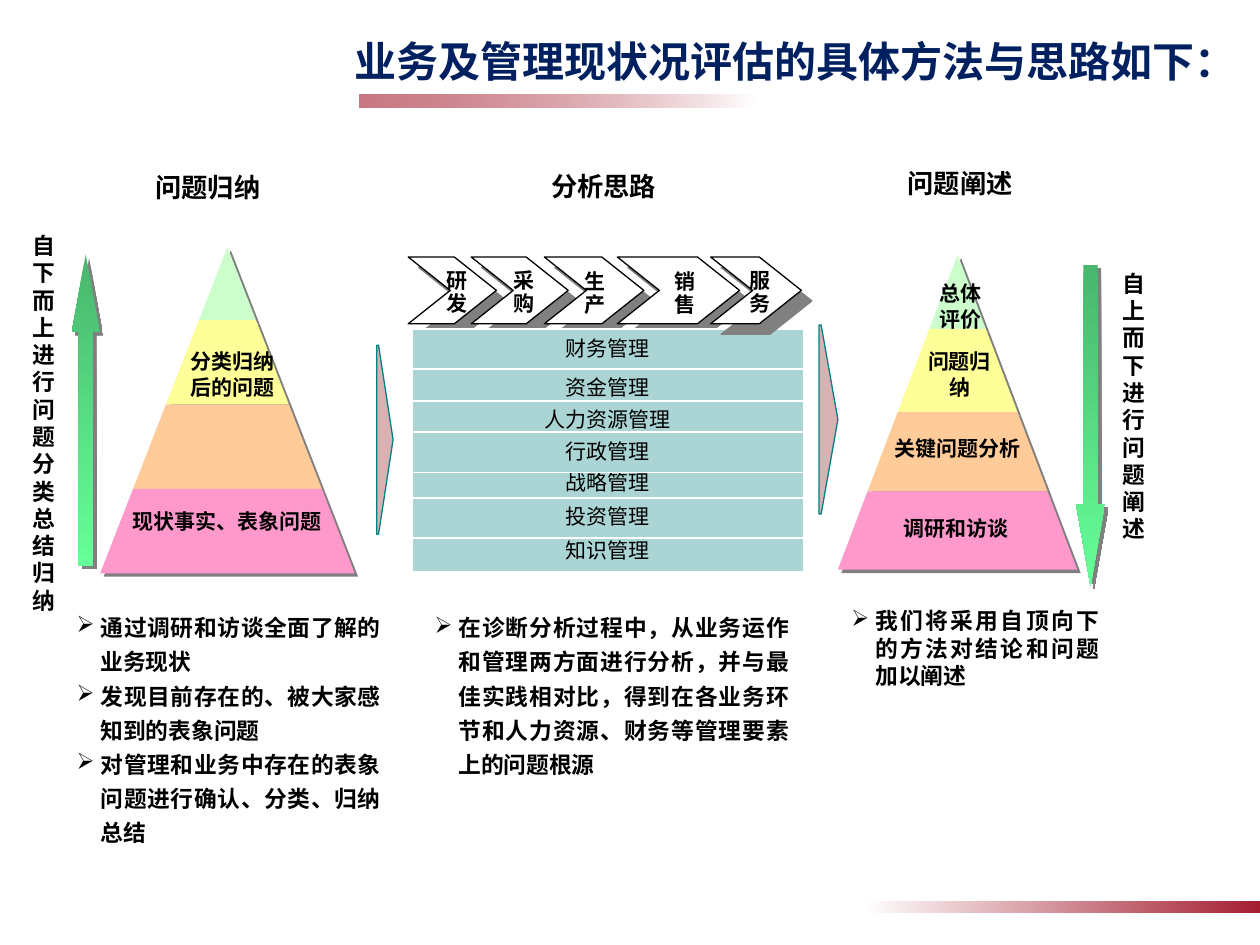
from lxml import etree
from pptx import Presentation
from pptx.dml.color import RGBColor
from pptx.enum.shapes import MSO_SHAPE
from pptx.enum.text import MSO_ANCHOR, PP_ALIGN
from pptx.oxml.ns import qn
from pptx.util import Inches, Pt

RECTANGLE, CHEVRON, PENTAGON = MSO_SHAPE.RECTANGLE, MSO_SHAPE.CHEVRON, MSO_SHAPE.PENTAGON
UP_ARROW, DOWN_ARROW = MSO_SHAPE.UP_ARROW, MSO_SHAPE.DOWN_ARROW
CENTER, RIGHT, JUSTIFY = PP_ALIGN.CENTER, PP_ALIGN.RIGHT, PP_ALIGN.JUSTIFY
TOP, MIDDLE = MSO_ANCHOR.TOP, MSO_ANCHOR.MIDDLE

FONT = "Noto Sans CJK SC"
COLUMNS, ROWS = 100, 75
LINE_HEIGHT = 1.2
NORMAL_INSETS, TIGHT_INSETS, SIDE_INSETS = (0.1, 0.05), (0.02, 0.01), (0.07, 0.04)
CHEVRON_INSETS = (0.02, 0.05)
RED, GREENS = "A41E31", ("49B66D", "66FF99")
BAND_COLORS = ("CCFFCC", "FFFF99", "FFCC99", "FF99CC")


def rgb(color):
    return RGBColor.from_string(color)


def set_alpha(fill_element, percent):
    """Make the last colour inside a fill element partly transparent."""
    color = list(fill_element.iter(qn("a:srgbClr")))[-1]
    etree.SubElement(color, qn("a:alpha"), val=str(percent * 1000))


class Canvas:
    """Draws on one slide; places are columns and rows of a 100 by 75 grid."""

    def __init__(self, presentation):
        self.slide = presentation.slides.add_slide(presentation.slide_layouts[6])
        self.column = presentation.slide_width / COLUMNS
        self.row = presentation.slide_height / ROWS

    def place(self, left, top, width, height):
        return (round(left * self.column), round(top * self.row),
                round(width * self.column), round(height * self.row))

    def finish(self, shape, fill, line=None, shadow=0):
        """Set solid fill, optional (colour, width) line and shadow distance in points."""
        if fill:
            shape.fill.solid()
            shape.fill.fore_color.rgb = rgb(fill)
        if line:
            shape.line.color.rgb = rgb(line[0])
            shape.line.width = Pt(line[1])
        else:
            shape.line.fill.background()
        shape.shadow.inherit = False
        if shadow:
            effects = shape._element.spPr.find(qn("a:effectLst"))
            outer = etree.SubElement(effects, qn("a:outerShdw"), dist=str(Pt(shadow)),
                                     dir="2700000", algn="ctr", rotWithShape="0")
            etree.SubElement(outer, qn("a:srgbClr"), val="808080")

    def shape(self, kind, box, fill=None, line=None, shadow=0, adjustments=()):
        shape = self.slide.shapes.add_shape(kind, *self.place(*box))
        for index, value in enumerate(adjustments):
            shape.adjustments[index] = value
        self.finish(shape, fill, line, shadow)
        return shape

    def gradient(self, kind, box, colors, angle=0, alpha=None, **options):
        shape = self.shape(kind, box, **options)
        shape.fill.gradient()
        shape.fill.gradient_angle = angle
        for stop, color, position in zip(shape.fill.gradient_stops, colors, (0, 1)):
            stop.color.rgb = rgb(color)
            stop.position = position
        if alpha:
            set_alpha(shape._element.spPr, alpha)
        return shape

    def pointer(self, box):
        shape = self.shape(PENTAGON, box, "800000", ("008080", 0.75), adjustments=(0.885,))
        set_alpha(shape._element.spPr.find(qn("a:solidFill")), 30)

    def pyramid(self, center, levels, slope):
        """Stack bands between levels; half the width grows by slope per row."""
        for top, bottom, color in zip(levels, levels[1:], BAND_COLORS):
            upper, lower = ((level - levels[0]) * slope for level in (top, bottom))
            corners = [(center - upper, top), (center + upper, top),
                       (center + lower, bottom), (center - lower, bottom)]
            points = [self.place(x, y, 0, 0)[:2] for x, y in corners]
            builder = self.slide.shapes.build_freeform(*points[0])
            builder.add_line_segments(points[1:], close=True)
            self.finish(builder.convert_to_shape(), color, shadow=2.8)

    def set_text(self, shape, text, size=12, bold=True, color="000000", align=CENTER,
                 insets=NORMAL_INSETS, spacing=1, anchor=TOP, bullet=None):
        frame = shape.text_frame
        frame.word_wrap = True
        frame.vertical_anchor = anchor
        frame.margin_left = frame.margin_right = Inches(insets[0])
        frame.margin_top = frame.margin_bottom = Inches(insets[1])
        frame.text = text
        for paragraph in frame.paragraphs:
            paragraph.alignment = align
            paragraph.line_spacing = Pt(round(size * LINE_HEIGHT * spacing, 1))
            if bullet:
                properties = paragraph._p.get_or_add_pPr()
                properties.set("marL", str(Inches(0.19)))
                properties.set("indent", str(-Inches(0.19)))
                etree.SubElement(properties, qn("a:buChar"), char=bullet)
            for run in paragraph.runs:
                run.font.size, run.font.bold, run.font.name = Pt(size), bold, FONT
                run.font.color.rgb = rgb(color)
                etree.SubElement(run._r.get_or_add_rPr(), qn("a:ea"), typeface=FONT)

    def text(self, box, text, **style):
        self.set_text(self.slide.shapes.add_textbox(*self.place(*box)), text, **style)

    def bullets(self, box, text, spacing):
        self.set_text(self.shape(RECTANGLE, box, "FFFFFF"), text, size=13,
                      align=JUSTIFY, spacing=spacing, bullet="➢")

    def step(self, left, width, text_box, text, insets=NORMAL_INSETS):
        self.shape(CHEVRON, (left, 20.4, width, 5.3), "FFFFFF", ("000000", 0.75), 8.5, (0.63,))
        self.text(text_box, text, insets=insets, spacing=0.9, anchor=MIDDLE)


def main():
    presentation = Presentation()
    presentation.slide_width, presentation.slide_height = Inches(10), Inches(7.5)
    canvas = Canvas(presentation)

    title_bar = canvas.gradient(RECTANGLE, (28.5, 7.5, 31.5, 1), ("FFFFFF", RED), alpha=60)
    title_bar.rotation = 180
    canvas.gradient(RECTANGLE, (68.5, 71.5, 31.5, 1), ("FFFFFF", RED))
    canvas.text((2.4, 2.4, 96.5, 8.3), "业务及管理现状况评估的具体方法与思路如下：", size=24,
                color="002060", align=RIGHT, insets=(0.08, 0.04))

    canvas.bullets((5.1, 47.7, 26.1, 20.7),
                   "通过调研和访谈全面了解的业务现状\n发现目前存在的、被大家感知到的表象问题\n"
                   "对管理和业务中存在的表象问题进行确认、分类、归纳总结", 1.25)
    canvas.bullets((33.5, 47.7, 30.1, 16.8),
                   "在诊断分析过程中，从业务运作和管理两方面进行分析，并与最佳实践相对比，"
                   "得到在各业务环节和人力资源、财务等管理要素上的问题根源", 1.25)
    canvas.bullets((66.6, 47.7, 21.6, 21), "我们将采用自顶向下的方法对结论和问题加以阐述", 1)

    for kind, box, head in ((UP_ARROW, (5.7, 20.2, 2.2, 24.7), 2.781),
                            (DOWN_ARROW, (85.4, 21, 2.3, 25.5), 2.825)):
        canvas.gradient(kind, box, GREENS, angle=270, shadow=2.8, adjustments=(0.5, head))
    for box, text in (((1.9, 18, 2.6, 32.5), "自下而上进行问题分类总结归纳"),
                      ((88.4, 21, 3.1, 26.1), "自上而下进行问题阐述")):
        canvas.text(box, text, size=13, align=JUSTIFY, insets=SIDE_INSETS)

    for left, top, width, heading in ((5.6, 13.5, 21.8, "问题归纳"),
                                      (29.8, 13.4, 36.2, "分析思路"),
                                      (61.3, 13.2, 29.8, "问题阐述")):
        canvas.text((left, top, width, 2.7), heading, size=15, insets=TIGHT_INSETS)

    canvas.pyramid(18.05, (19.6, 25.4, 32.1, 38.8, 45.5), 0.39)
    canvas.text((9.4, 39.5, 17.3, 5.9), "现状事实、表象问题", spacing=1.2)
    canvas.text((13.2, 27.2, 10.5, 5.1), "分类归纳\n后的问题")
    canvas.pyramid(76, (20.2, 26.1, 32.7, 39, 45.2), 0.38)
    for box, text in (((73.9, 22.2, 4.6, 4.5), "总体\n评价"),
                      ((72.7, 27.6, 6.9, 4.2), "问题归纳"),
                      ((70.2, 34.5, 11.6, 2.1), "关键问题分析"),
                      ((71.2, 40.8, 9.4, 2.2), "调研和访谈")):
        canvas.text(box, text, insets=TIGHT_INSETS)

    canvas.pointer((29.9, 27.4, 1.3, 15))
    canvas.pointer((65, 25.8, 1.5, 15))

    canvas.step(32.4, 7, (34, 20.9, 4.6, 4.7), "研发")
    canvas.step(37.4, 7.7, (39.1, 20.9, 5, 4.7), "采购")
    canvas.step(43.2, 7.9, (44.7, 21, 5.1, 4.7), "生\n产", CHEVRON_INSETS)
    canvas.step(49, 9.7, (51.2, 21, 6.3, 4.7), "销\n售", CHEVRON_INSETS)
    # Listed back to front: the later bars overlap their neighbours.
    for top, text in ((29.2, "资金管理"), (31.8, "人力资源管理"), (36.8, "战略管理"),
                      (42.2, "知识管理"), (26.1, "财务管理"), (34.3, "行政管理"),
                      (39.5, "投资管理")):
        bar = canvas.shape(RECTANGLE, (32.7, top, 31.1, 3.2), "ABD5D4", ("FFFFFF", 1))
        canvas.set_text(bar, text, bold=False)
    canvas.step(56.4, 7.2, (58, 20.9, 4.6, 4.7), "服务")

    presentation.save("out.pptx")


if __name__ == "__main__":
    main()
